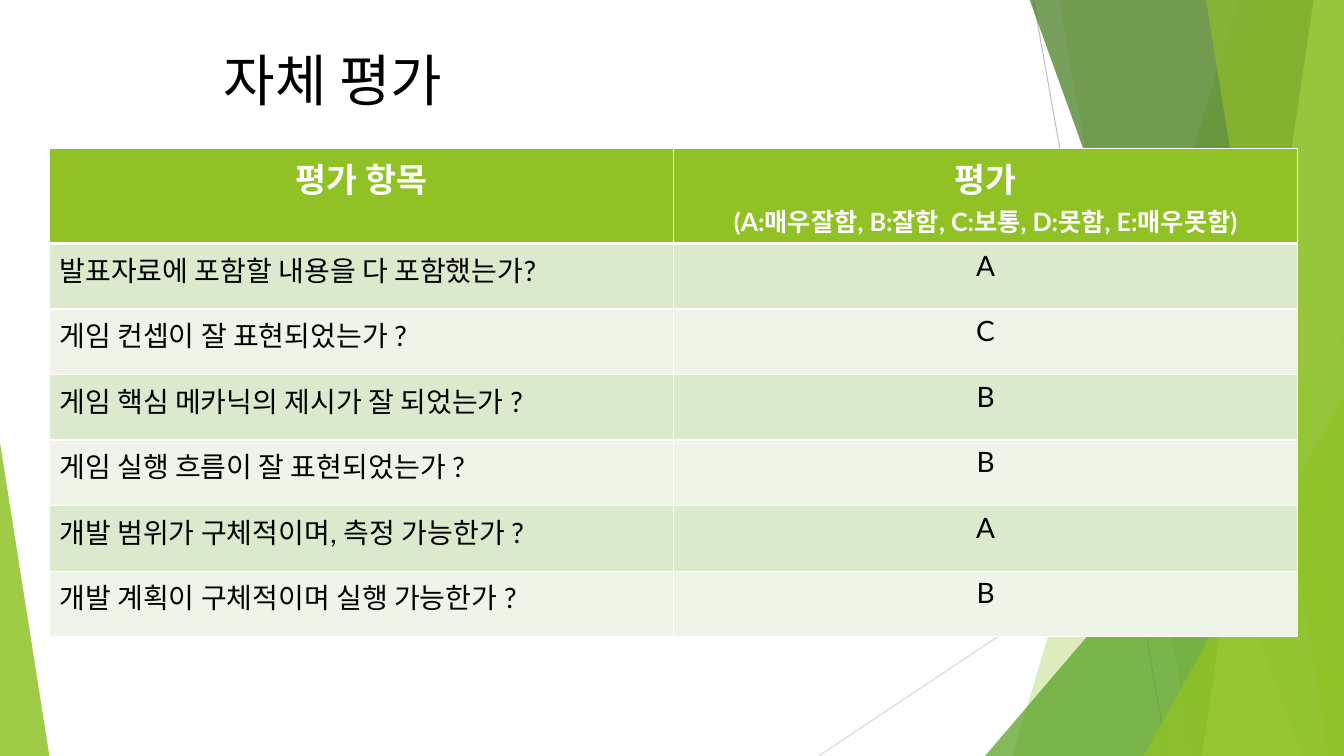
from lxml import etree
from pptx import Presentation
from pptx.dml.color import RGBColor
from pptx.enum.shapes import MSO_CONNECTOR, MSO_SHAPE
from pptx.enum.text import MSO_AUTO_SIZE, PP_ALIGN
from pptx.oxml.ns import qn
from pptx.util import Inches, Pt

STRAIGHT = MSO_CONNECTOR.STRAIGHT
TRIANGLE = MSO_SHAPE.ISOSCELES_TRIANGLE
LEFT, CENTER = PP_ALIGN.LEFT, PP_ALIGN.CENTER
FIT_TEXT = MSO_AUTO_SIZE.SHAPE_TO_FIT_TEXT

WIDTH, HEIGHT, TOP = 13.33, 7.5, -0.01
GREEN, WHITE, BLACK = "90C226", "FFFFFF", "000000"
BANDS = ["DBE9CD", "EEF4E8"]

HEADINGS = ["평가 항목", "평가\n(A:매우잘함, B:잘함, C:보통, D:못함, E:매우못함)"]
RATINGS = [
    ("발표자료에 포함할 내용을 다 포함했는가?", "A"),
    ("게임 컨셉이 잘 표현되었는가 ?", "C"),
    ("게임 핵심 메카닉의 제시가 잘 되었는가 ?", "B"),
    ("게임 실행 흐름이 잘 표현되었는가 ?", "B"),
    ("개발 범위가 구체적이며, 측정 가능한가 ?", "A"),
    ("개발 계획이 구체적이며 실행 가능한가 ?", "B"),
]


def color(value):
    return RGBColor.from_string(value)


class SlideBuilder:
    font = "Lato"

    def __init__(self, slide):
        self.slide = slide
        self.shapes = slide.shapes

    def paint(self, shape, fill, opacity):
        """Fill a borderless, shadowless shape; opacity is a percentage."""
        shape.shadow.inherit = False
        shape.line.fill.background()
        shape.fill.solid()
        shape.fill.fore_color.rgb = color(fill)
        tone = shape.fill._xPr.find(qn("a:solidFill"))[0]
        etree.SubElement(tone, qn("a:alpha"), val=str(opacity * 1000))

    def line(self, start, end, stroke):
        points = [Inches(value) for value in (*start, *end)]
        connector = self.shapes.add_connector(STRAIGHT, *points)
        connector.line.color.rgb = color(stroke)
        connector.line.width = Pt(0.75)
        etree.SubElement(connector._element.spPr, qn("a:effectLst"))

    def facet(self, top_x, bottom_x, fill, opacity):
        """Fill the area between a slanted edge and the slide's right side."""
        corners = [(WIDTH, TOP), (WIDTH, HEIGHT), (bottom_x, HEIGHT)]
        builder = self.shapes.build_freeform(Inches(top_x), Inches(TOP))
        builder.add_line_segments([(Inches(x), Inches(y)) for x, y in corners])
        self.paint(builder.convert_to_shape(), fill, opacity)

    def triangle(self, left, top, right, apex, fill, opacity):
        box = [Inches(v) for v in (left, top, right - left, HEIGHT - top)]
        shape = self.shapes.add_shape(TRIANGLE, *box)
        shape.adjustments[0] = apex
        self.paint(shape, fill, opacity)

    def style(self, para, size, ink, bold=False, align=LEFT):
        para.alignment = align
        for span in para.runs:
            span.font.name = self.font
            span.font.size = Pt(size)
            span.font.bold = bold
            span.font.color.rgb = color(ink)

    def title(self, text, left, top, width, height):
        box = self.shapes.add_textbox(*map(Inches, (left, top, width, height)))
        frame = box.text_frame
        frame.word_wrap = True
        frame.auto_size = FIT_TEXT
        frame.text = text
        self.style(frame.paragraphs[0], 40, BLACK)

    def cell(self, cell, text, fill, bottom_border=1):
        cell.text_frame.text = text
        properties = cell._tc.get_or_add_tcPr()
        for side, width in zip("LRTB", (1, 1, 1, bottom_border)):
            border = etree.SubElement(properties, qn(f"a:ln{side}"), w=str(Pt(width)))
            solid = etree.SubElement(border, qn("a:solidFill"))
            etree.SubElement(solid, qn("a:srgbClr"), val=WHITE)
        cell.fill.solid()
        cell.fill.fore_color.rgb = color(fill)
        return cell.text_frame.paragraphs

    def table(self, headings, rows, left, top, width, row_height):
        count = len(rows) + 1
        box = map(Inches, (left, top, width, row_height * count))
        table = self.shapes.add_table(count, len(headings), *box).table
        table.horz_banding = False
        for column, heading in enumerate(headings):
            paras = self.cell(table.cell(0, column), heading, GREEN, 3)
            for para, size in zip(paras, (24, 18)):
                self.style(para, size, WHITE, True, CENTER)
        for number, row in enumerate(rows, 1):
            fill = BANDS[(number - 1) % 2]
            for column, (text, align) in enumerate(zip(row, (LEFT, CENTER))):
                paras = self.cell(table.cell(number, column), text, fill,
                                  3 if number == 0 else 1)
                self.style(paras[0], 20, BLACK, align=align)
            # The first body row shares the thick rule under the headings.
        for cell in table.rows[1].cells:
            cell._tc.tcPr.find(qn("a:lnT")).set("w", str(Pt(3)))


def main():
    deck = Presentation()
    deck.slide_width, deck.slide_height = Inches(WIDTH), Inches(HEIGHT)
    page = SlideBuilder(deck.slides.add_slide(deck.slide_layouts[6]))

    page.line((10.25, 0), (11.58, HEIGHT), "BFBFBF")
    page.line((WIDTH, 4.03), (8.12, HEIGHT), "D9D9D9")
    page.facet(12.28, 10.04, GREEN, 30)
    page.facet(10.5, 11.83, GREEN, 20)
    page.triangle(9.77, 3.33, WIDTH, 1, "54A021", 72)
    page.facet(10.21, 12.91, "3F7819", 70)
    page.facet(13.03, 11.92, "C0E474", 70)
    page.facet(11.96, 13.18, GREEN, 65)
    page.triangle(11.34, 3.93, WIDTH, 1, GREEN, 80)
    page.triangle(0, 4.39, 0.49, 0, GREEN, 85)

    page.table(HEADINGS, RATINGS, 0.49, 1.47, 12.38, 0.65)
    page.title("자체 평가", 2.12, 0.4, 4.26, 0.77)
    deck.save("out.pptx")


if __name__ == "__main__":
    main()
